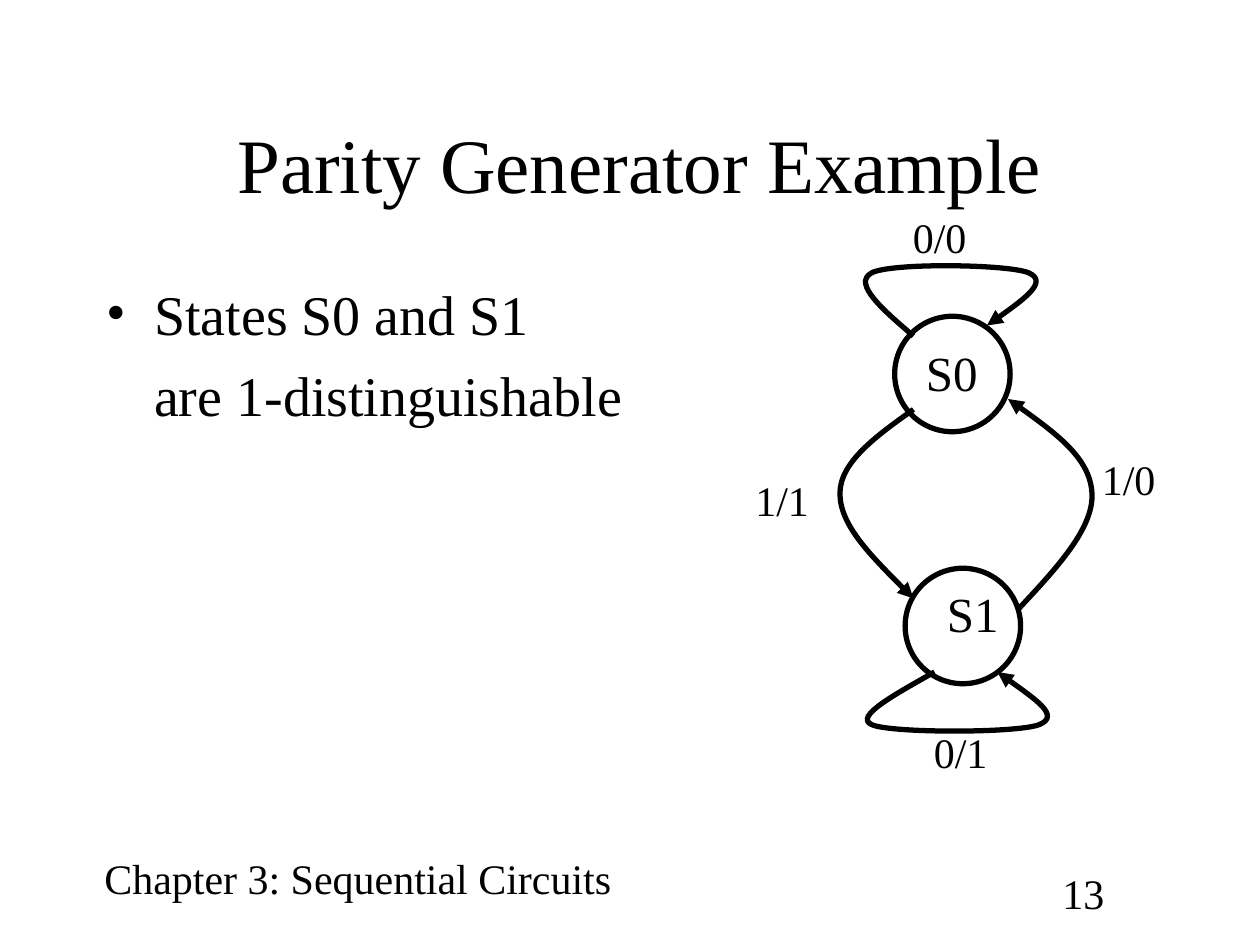
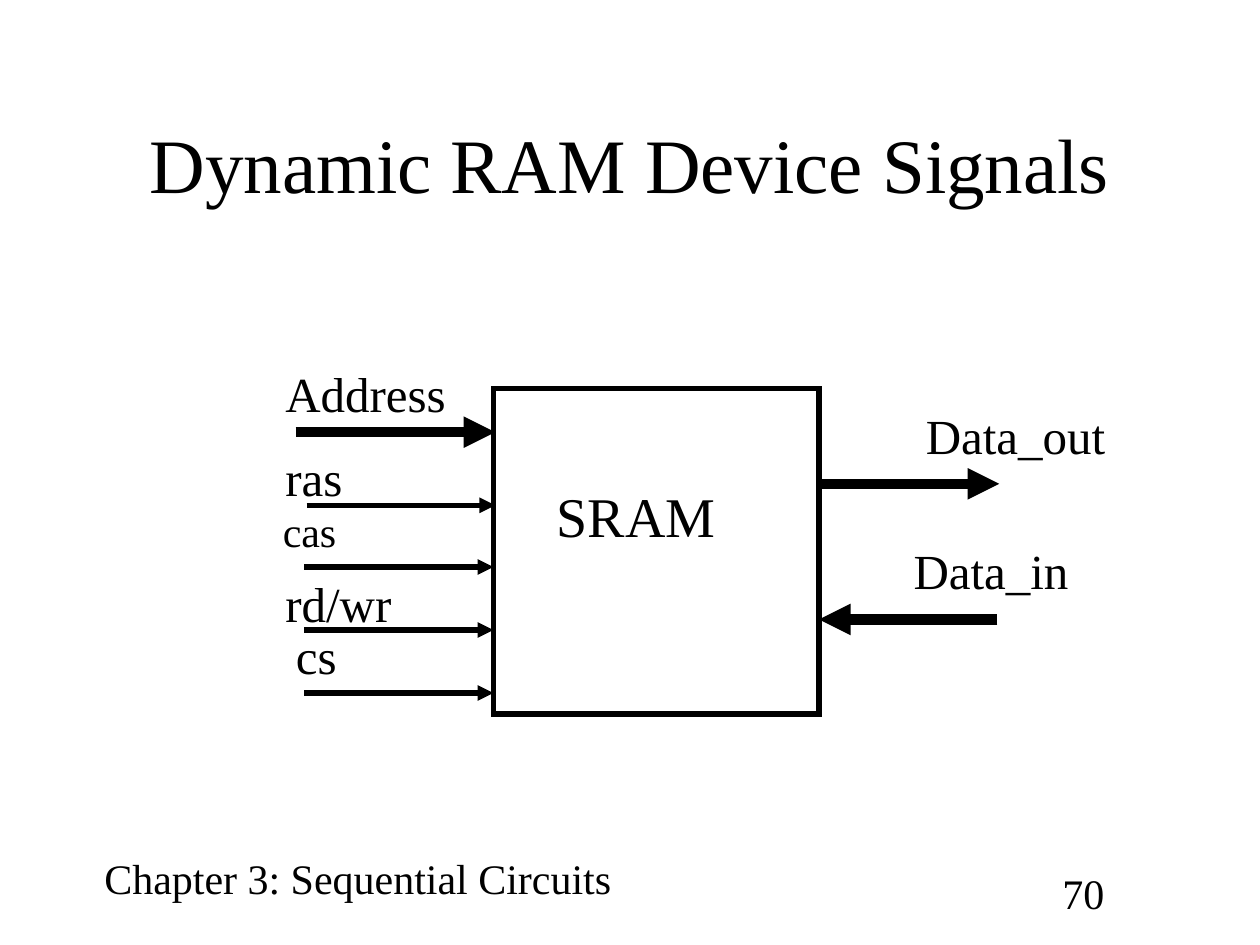
from lxml import etree
from pptx import Presentation
from pptx.dml.color import RGBColor
from pptx.enum.shapes import MSO_CONNECTOR, MSO_SHAPE
from pptx.enum.text import MSO_ANCHOR, MSO_AUTO_SIZE, PP_ALIGN
from pptx.oxml.ns import qn
from pptx.util import Pt

STRAIGHT = MSO_CONNECTOR.STRAIGHT
OVAL, RECTANGLE = MSO_SHAPE.OVAL, MSO_SHAPE.RECTANGLE
MIDDLE, CENTER = MSO_ANCHOR.MIDDLE, PP_ALIGN.CENTER
GROW = MSO_AUTO_SIZE.SHAPE_TO_FIT_TEXT

INK = RGBColor(0x00, 0x00, 0x00)
FONT = "Times New Roman"
CHAPTER = "Chapter 3: Sequential Circuits"
TITLE_ONLY = 5

THIN, THICK = 3, 6
TITLE_SIZE, BODY_SIZE, NAME_SIZE, SMALL_SIZE = 44, 32, 28, 24
LINE_HEIGHT, INSETS = 1.15, 7.2
HANGING = 27
STATE_SIZE = 66


# Text
def add_run(paragraph, text, size):
    run = paragraph.add_run()
    run.text = text
    run.font.name = FONT
    run.font.size = Pt(size)
    run.font.color.rgb = INK


def add_label(slide, text, left, top, width, size=NAME_SIZE):
    height = size * LINE_HEIGHT + INSETS
    label = slide.shapes.add_textbox(Pt(left), Pt(top), Pt(width), Pt(height))
    label.text_frame.word_wrap = False
    label.text_frame.auto_size = GROW
    add_run(label.text_frame.paragraphs[0], text, size)


def add_bullet_point(slide, lines):
    """Write a bulleted line, with the following lines aligned under it."""
    body = slide.shapes.add_textbox(Pt(54), Pt(156), Pt(612), Pt(324))
    frame = body.text_frame
    frame.word_wrap = True
    for index, line in enumerate(lines):
        paragraph = frame.add_paragraph() if index else frame.paragraphs[0]
        properties = paragraph._p.get_or_add_pPr()
        properties.set("marL", str(Pt(HANGING)))
        if index:
            paragraph.space_before = Pt(8)
        else:
            properties.set("indent", str(-Pt(HANGING)))
            etree.SubElement(properties, qn("a:buFont")).set("typeface", FONT)
            etree.SubElement(properties, qn("a:buChar")).set("char", "•")
        add_run(paragraph, line, BODY_SIZE)


def add_titled_slide(deck, title, number, title_inset=INSETS):
    slide = deck.slides.add_slide(deck.slide_layouts[TITLE_ONLY])
    heading = slide.shapes.title
    heading.left, heading.top = Pt(54), Pt(48)
    heading.width, heading.height = Pt(612), Pt(90)
    frame = heading.text_frame
    frame.vertical_anchor = MIDDLE
    frame.margin_left = Pt(title_inset)
    frame.paragraphs[0].alignment = CENTER
    add_run(frame.paragraphs[0], title, TITLE_SIZE)
    # Footer
    add_label(slide, CHAPTER, 52.5, 483.5, 322, SMALL_SIZE)
    add_label(slide, number, 600, 492, 38.4, SMALL_SIZE)
    return slide


# Outlines and arrows
def style_line(line, weight):
    line.color.rgb = INK
    line.width = Pt(weight)


def add_line_detail(line_shape, tag, **attributes):
    outline = line_shape.element.spPr.find(qn("a:ln"))
    etree.SubElement(outline, qn(tag), attributes)


def add_arrowhead(line_shape):
    add_line_detail(line_shape, "a:tailEnd", type="triangle")


def add_outline(slide, kind, left, top, size):
    outline = slide.shapes.add_shape(kind, Pt(left), Pt(top), Pt(size), Pt(size))
    outline.shadow.inherit = False
    outline.fill.background()
    style_line(outline.line, THIN)
    add_line_detail(outline, "a:miter", lim="800000")


def add_signal(slide, start, end, y, weight=THIN):
    signal = slide.shapes.add_connector(STRAIGHT, Pt(start), Pt(y), Pt(end), Pt(y))
    style_line(signal.line, weight)
    add_arrowhead(signal)
    etree.SubElement(signal.element.spPr, qn("a:effectLst"))


def add_transition(slide, points):
    """Draw a curved arrow: a start, then two controls and an end per curve."""
    start, *others = [(Pt(x), Pt(y)) for x, y in points]
    builder = slide.shapes.build_freeform(*start)
    builder.add_line_segments(others, close=False)
    transition = builder.convert_to_shape()
    # Join each three straight segments into one cubic curve
    path = transition.element.spPr.find(".//" + qn("a:path"))
    segments = path.findall(qn("a:lnTo"))
    for first in range(0, len(segments), 3):
        curve = etree.SubElement(path, qn("a:cubicBezTo"))
        for segment in segments[first:first + 3]:
            curve.append(segment[0])
            path.remove(segment)
    transition.shadow.inherit = False
    transition.fill.background()
    style_line(transition.line, THIN)
    add_arrowhead(transition)


# Slides
def build_parity_generator(deck):
    slide = add_titled_slide(deck, "Parity Generator Example", "13",
                             title_inset=INSETS + 11)
    add_bullet_point(slide, ["States S0 and S1", "are 1-distinguishable"])

    # States
    for left, top in [(511.25, 180.75), (517.25, 324.75)]:
        add_outline(slide, OVAL, left, top, STATE_SIZE)
    add_label(slide, "S0", 522, 192, 44)
    add_label(slide, "S1", 534, 330, 44)

    # Transitions: S0 to S1, S1 to S0, S0 to itself, S1 to itself
    for points in [
        [(522, 234), (501, 249), (480, 264), (480, 282),
         (480, 300), (501, 321), (522, 342)],
        [(582, 348), (603.5, 325), (625, 302), (624, 282),
         (623, 262), (600, 245), (576, 228)],
        [(522, 192), (504.5, 177), (487, 162), (498, 156),
         (509, 150), (577, 151), (588, 156),
         (599, 161), (582, 173.5), (564, 186)],
        [(534, 384), (511, 397), (488, 409.5), (498, 414),
         (508, 419), (582, 419), (594, 414),
         (606, 409), (588, 397), (570, 384)],
    ]:
        add_transition(slide, points)
    for text, left, top in [("0/0", 514.5, 117.5), ("1/1", 424.5, 267.5),
                            ("0/1", 526.5, 411.5), ("1/0", 622.5, 255.5)]:
        add_label(slide, text, left, top, 45.5, SMALL_SIZE)


def build_ram_signals(deck):
    slide = add_titled_slide(deck, "Dynamic RAM Device Signals", "70")

    # Memory device
    add_outline(slide, RECTANGLE, 282, 222, 186)
    add_label(slide, "SRAM", 311, 271.5, 105, BODY_SIZE)

    # Inputs: name, its left, top, width and size, then arrow ends, y, weight
    for name, left, top, width, size, start, end, y, weight in [
        ("Address", 156, 204, 106, NAME_SIZE, 169, 283, 247, THICK),
        ("ras", 156, 252, 47, NAME_SIZE, 175.25, 283, 288.75, THIN),
        ("cas", 154.5, 285.5, 45.5, SMALL_SIZE, 174, 282, 324, THIN),
        ("rd/wr", 156, 324, 75, NAME_SIZE, 174, 282, 360, THIN),
        ("cs", 162, 354, 38.5, NAME_SIZE, 174, 282, 396, THIN),
    ]:
        add_label(slide, name, left, top, width, size)
        add_signal(slide, start, end, y, weight)

    # Data lines on the right
    add_label(slide, "Data_out", 522, 228, 117)
    add_signal(slide, 469, 571, 276.5, THICK)
    add_label(slide, "Data_in", 515, 305.5, 103)
    add_signal(slide, 570, 468, 354, THICK)


def main():
    deck = Presentation()
    deck.slide_width, deck.slide_height = Pt(720), Pt(540)
    build_parity_generator(deck)
    build_ram_signals(deck)
    deck.save("out.pptx")


if __name__ == "__main__":
    main()
